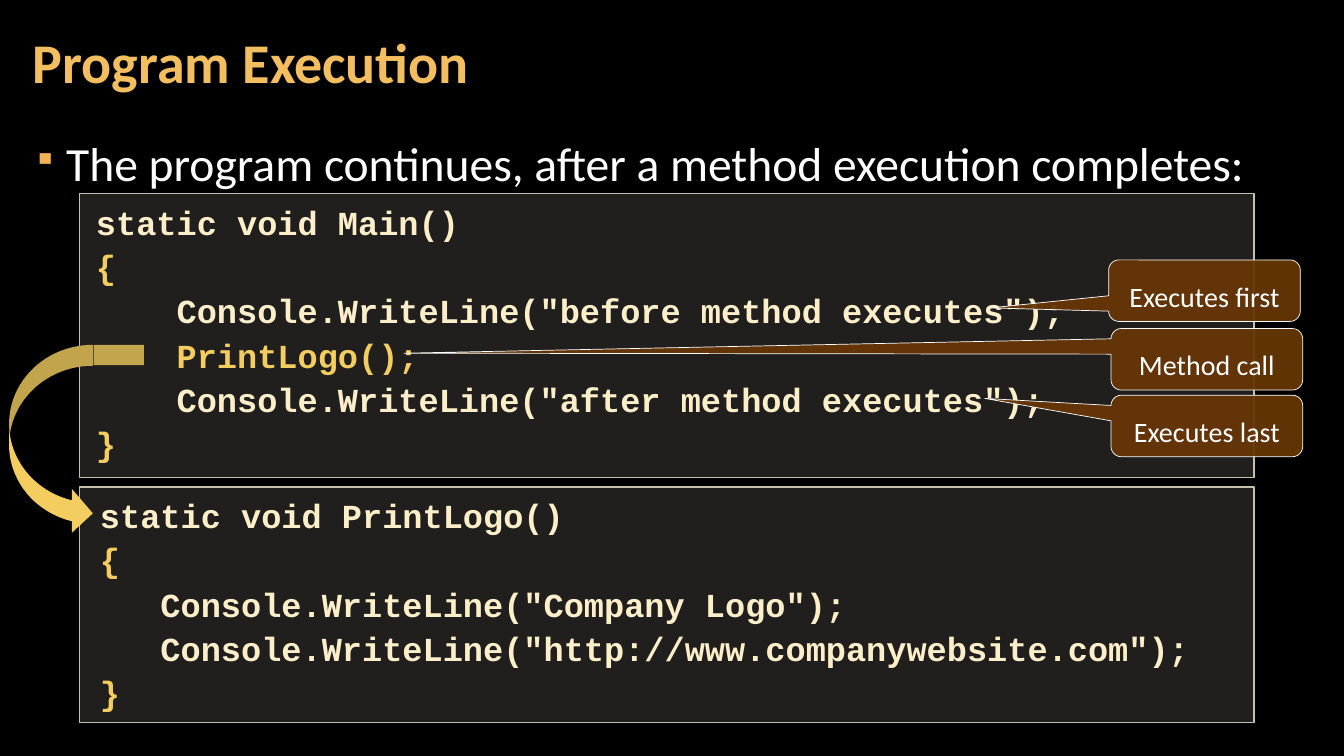
from dataclasses import dataclass

from lxml.etree import SubElement
from pptx import Presentation
from pptx.dml.color import RGBColor
from pptx.enum.shapes import MSO_SHAPE
from pptx.enum.text import MSO_ANCHOR, PP_ALIGN
from pptx.oxml.ns import qn
from pptx.util import Cm, Pt

COLOURS = {
    "background": "000000", "title": "F3BE60", "bullet": "F2B254", "white": "FFFFFF",
    "panel": "D9D5C7", "panel_line": "C7BFAC", "code": "FBEEC9", "highlight": "F3CD60",
    "callout": "663606", "arrow_tail": "C3A54D",
}
HIGHLIGHTED = ("{", "}", "PrintLogo();")
CODE_FONT = {"name": "Courier New", "size": Pt(24), "bold": True}
TITLE_FONT = {"name": "Calibri", "size": Pt(40), "bold": True}
BODY_FONT = {"name": "Calibri", "size": Pt(34)}
CALLOUT_FONT = {"name": "Calibri", "size": Pt(20)}


@dataclass
class CodePanel:
    top: float
    height: float
    side_inset: float
    code: str


@dataclass
class Callout:
    left: float
    top: float
    tip: tuple[float, float]
    label: str


PANELS = [
    CodePanel(12.27, 5.94, 0.51, """static void PrintLogo()
{
   Console.WriteLine("Company Logo");
   Console.WriteLine("http://www.companywebsite.com");
}"""),
    CodePanel(4.88, 7.16, 0.41, """static void Main()
{
    Console.WriteLine("before method executes");
    PrintLogo();
    Console.WriteLine("after method executes");
}"""),
]
CALLOUTS = [
    Callout(27.94, 6.55, (-1.118, 0.281), "Executes first"),
    Callout(28, 8.28, (-4.189, -0.099), "Method call"),
    Callout(28, 9.96, (-1.159, -0.448), "Executes last"),
]


def colour(name: str) -> RGBColor:
    return RGBColor.from_string(COLOURS[name])


def set_attributes(target, values: dict) -> None:
    for name, value in values.items():
        setattr(target, name, value)


def add_span(para, text: str, font: dict, colour_name: str) -> None:
    span = para.add_run()
    span.text = text
    set_attributes(span.font, font)
    span.font.color.rgb = colour(colour_name)


def set_frame(frame, side: float, top: float, bottom: float, anchor=MSO_ANCHOR.TOP) -> None:
    set_attributes(frame, {
        "word_wrap": True, "vertical_anchor": anchor,
        "margin_left": Cm(side), "margin_right": Cm(side),
        "margin_top": Cm(top), "margin_bottom": Cm(bottom),
    })


def add_filled_shape(shapes, kind, bounds: tuple, fill: str, opacity: int = 100,
                     line: str = "", line_width: float = 0):
    """Draw a preset shape; opacity is a percentage, and no line name means no outline."""
    shape = shapes.add_shape(kind, *map(Cm, bounds))
    shape.shadow.inherit = False
    shape.fill.solid()
    shape.fill.fore_color.rgb = colour(fill)
    if opacity < 100:
        fill_colour = shape.fill._xPr.find(qn("a:solidFill"))[0]
        SubElement(fill_colour, qn("a:alpha"), val=str(opacity * 1000))
    if line:
        shape.line.color.rgb = colour(line)
        shape.line.width = Pt(line_width)
    else:
        shape.line.fill.background()
    return shape


def add_code_panel(page, panel: CodePanel) -> None:
    box = add_filled_shape(page.shapes, MSO_SHAPE.RECTANGLE,
                           (2.01, panel.top, 29.59, panel.height),
                           "panel", 15, "panel_line", 1)
    frame = box.text_frame
    set_frame(frame, panel.side_inset, 0.1, 0.1)
    for number, line in enumerate(panel.code.splitlines()):
        para = frame.add_paragraph() if number else frame.paragraphs[0]
        set_attributes(para, {"alignment": PP_ALIGN.LEFT, "line_spacing": 1.1})
        highlighted = line.strip() in HIGHLIGHTED
        add_span(para, line, CODE_FONT, "highlight" if highlighted else "code")


def add_callout(page, callout: Callout) -> None:
    box = add_filled_shape(page.shapes, MSO_SHAPE.ROUNDED_RECTANGULAR_CALLOUT,
                           (callout.left, callout.top, 4.83, 1.55),
                           "callout", 95, "white", 0.5)
    for index, value in enumerate((*callout.tip, 0.167)):
        box.adjustments[index] = value
    set_frame(box.text_frame, 0.25, 0.2, 0.2)
    para = box.text_frame.paragraphs[0]
    set_attributes(para, {"alignment": PP_ALIGN.CENTER, "line_spacing": Pt(30)})
    add_span(para, callout.label, CALLOUT_FONT, "white")


def add_body(page) -> None:
    box = page.shapes.add_textbox(Cm(0.53), Cm(3.2), Cm(32.79), Cm(15.47))
    set_frame(box.text_frame, 0.3, 0.1, 0.1)
    para = box.text_frame.paragraphs[0]
    properties = para._p.get_or_add_pPr()
    properties.set("marL", str(Cm(0.84)))
    properties.set("indent", str(Cm(-0.84)))
    bullet_colour = SubElement(properties, qn("a:buClr"))
    SubElement(bullet_colour, qn("a:srgbClr"), val=COLOURS["bullet"])
    SubElement(properties, qn("a:buSzPct"), val="70000")
    SubElement(properties, qn("a:buChar"), char="▪")
    set_attributes(para, {"line_spacing": 1.05, "space_after": Pt(6)})
    add_span(para, "The program continues, after a method execution completes:",
             BODY_FONT, "white")


def format_title(page) -> None:
    title = page.shapes.title
    set_attributes(title, {"left": Cm(0.53), "top": Cm(0.1),
                           "width": Cm(26.59), "height": Cm(3.07)})
    set_frame(title.text_frame, 0.3, 0.1, 0.1, MSO_ANCHOR.MIDDLE)
    para = title.text_frame.paragraphs[0]
    set_attributes(para, {"alignment": PP_ALIGN.LEFT, "line_spacing": 0.9})
    add_span(para, "Program Execution", TITLE_FONT, "title")


def add_call_arrow(page) -> None:
    group = page.shapes.add_group_shape()
    arrow = add_filled_shape(group.shapes, MSO_SHAPE.CURVED_RIGHT_ARROW,
                             (0.23, 8.69, 2.11, 4.8), "highlight")
    for index, value in enumerate((0.25, 0.525, 0.25)):
        arrow.adjustments[index] = value
    add_filled_shape(group.shapes, MSO_SHAPE.RECTANGLE, (2.36, 8.69, 1.27, 0.51), "arrow_tail")


def main() -> None:
    deck = Presentation()
    deck.slide_width, deck.slide_height = Cm(33.87), Cm(19.05)
    page = deck.slides.add_slide(deck.slide_layouts[5])
    page.background.fill.solid()
    page.background.fill.fore_color.rgb = colour("background")
    format_title(page)
    for panel in PANELS:
        add_code_panel(page, panel)
    add_body(page)
    for callout in CALLOUTS:
        add_callout(page, callout)
    add_call_arrow(page)
    deck.save("out.pptx")


if __name__ == "__main__":
    main()
